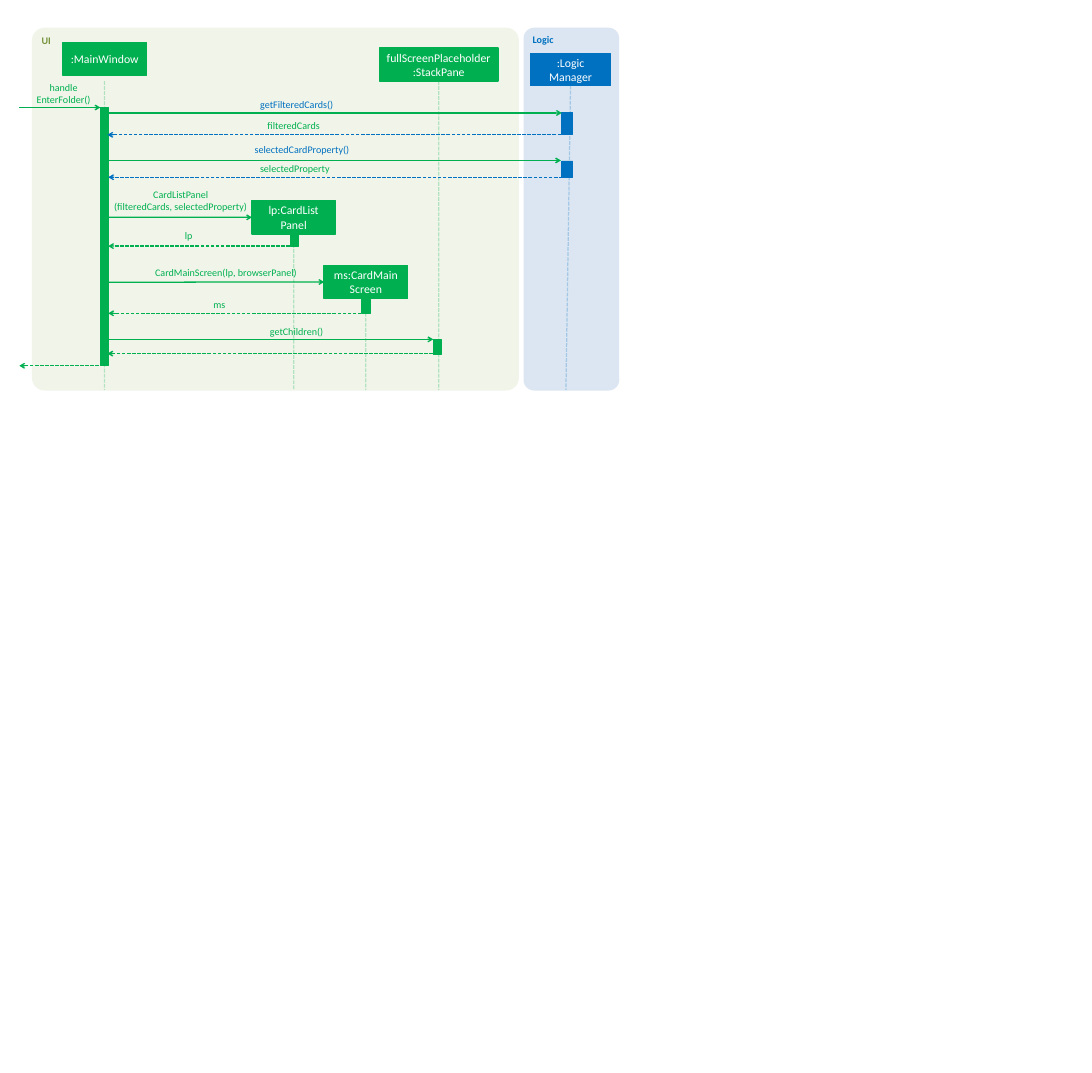
from lxml import etree
from pptx import Presentation
from pptx.dml.color import RGBColor
from pptx.enum import dml, shapes, text
from pptx.oxml import ns
from pptx.util import Pt

GREEN = RGBColor(0x00, 0xB0, 0x50)
BLUE = RGBColor(0x00, 0x70, 0xC0)
OLIVE = RGBColor(0x77, 0x93, 0x3C)
PALE = RGBColor(0xF1, 0xF5, 0xE9)
SKY = RGBColor(0xDC, 0xE6, 0xF2)
WHITE = RGBColor(0xFF, 0xFF, 0xFF)

MID = text.PP_ALIGN.CENTER
BAR = 0.75
LIST, MAIN = "lp:CardList Panel", "ms:CardMain Screen"

CALLS = [
    (0, 96.5, 95, GREEN, False, None),
    (101, 646, 101.5, GREEN, False, None),
    (657.5, 105, 127.5, BLUE, True, None),
    (106.5, 645, 158, GREEN, False, None),
    (653, 106, 178, BLUE, True, None),
    (106.5, 277.5, 225.8, GREEN, False, LIST),
    (322.5, 106, 260, GREEN, True, None),
    (105, 363, 303, GREEN, False, MAIN),
    (407.5, 106, 340, GREEN, True, None),
    (100, 493, 371, GREEN, False, None),
    (493, 105, 388, GREEN, True, None),
    (95, 0, 402.5, GREEN, True, None),
]
LABELS = [
    ("handle\nEnterFolder()", 3, 63.5, 99.5, GREEN),
    ("getFilteredCards()", 284.5, 84.5, 89.5, BLUE),
    ("filteredCards", 280, 109.5, 93.5, GREEN),
    ("selectedCardProperty()", 272, 137.5, 121, BLUE),
    ("selectedProperty", 281.5, 160.5, 93.5, GREEN),
    ("CardListPanel\n(filteredCards, selectedProperty)", 75.5, 191.5, 233.5, GREEN),
    ("lp", 155, 240, 93.5, GREEN),
    ("CardMainScreen(lp, browserPanel)", 129.5, 284.5, 233.5, GREEN),
    ("ms", 191.5, 322, 93.5, GREEN),
    ("getChildren()", 283.5, 354.5, 93.5, GREEN),
]


def write(frame, words, size, color, align, bold=None):
    """Fill a text frame and format all its runs."""
    frame.word_wrap = True
    frame.text = words
    for para in frame.paragraphs:
        para.alignment = align
        for run in para.runs:
            run.font.name = "Calibri"
            run.font.size = Pt(size)
            run.font.bold = bold
            run.font.color.rgb = color


def block(slide, box, color, width):
    """Draw a filled rectangle with a line of its own colour."""
    rect = slide.shapes.add_shape(shapes.MSO_SHAPE.RECTANGLE, *map(Pt, box))
    rect.shadow.inherit = False
    rect.fill.solid()
    rect.fill.fore_color.rgb = color
    rect.line.color.rgb = color
    rect.line.width = Pt(width)
    return rect


def head(slide, box, words, color):
    """Draw the named box at the top of a lifeline."""
    rect = block(slide, box, color, 1.5)
    rect.text_frame.vertical_anchor = text.MSO_ANCHOR.MIDDLE
    write(rect.text_frame, words, 14, WHITE, MID)
    return rect


def panel(slide, box, words, fill, color, round_):
    """Draw a rounded region with its title at the top left."""
    area = slide.shapes.add_shape(shapes.MSO_SHAPE.ROUNDED_RECTANGLE, *map(Pt, box))
    area.adjustments[0] = round_
    area.shadow.inherit = False
    area.fill.solid()
    area.fill.fore_color.rgb = fill
    area.line.fill.background()
    area.text_frame.vertical_anchor = text.MSO_ANCHOR.TOP
    write(area.text_frame, words, 12, color, text.PP_ALIGN.LEFT, True)


def line(slide, start, end, color, dash):
    """Draw a straight line without a shadow."""
    link = slide.shapes.add_connector(
        shapes.MSO_CONNECTOR.STRAIGHT, *map(Pt, start + end))
    link.line.color.rgb = color
    link.line.width = Pt(1.5)
    if dash:
        link.line.dash_style = dml.MSO_LINE.SQUARE_DOT
    etree.SubElement(link._element.spPr, ns.qn("a:effectLst"))
    return link


def life(slide, start, end, color, owner=None):
    """Draw a faint lifeline, joined to the bottom of its owner."""
    link = line(slide, start, end, color, True)
    tint = next(link._element.spPr.iter(ns.qn("a:srgbClr")))
    etree.SubElement(tint, ns.qn("a:alpha"), val="25000")
    if owner is not None:
        link.begin_connect(owner, 2)


def send(slide, start, end, color, dash):
    """Draw a message arrow from sender to receiver."""
    link = line(slide, start, end, color, dash)
    rule = link._element.spPr.find(ns.qn("a:ln"))
    etree.SubElement(rule, ns.qn("a:tailEnd"), type="arrow")
    return link


def ui(slide, box):
    """Draw the UI region and return its heads by name."""
    x, y, w, h = box
    end = y + h - 0.5
    panel(slide, box, "UI", PALE, OLIVE, 0.035)
    heads = {}
    for words, dx, dy, wide in [
        (":MainWindow", 37, 17.5, 99.5),
        ("fullScreenPlaceholder:StackPane", 414, 24, 141),
        (LIST, 262, 206, 99.5),
        (MAIN, 348, 283, 99.5),
    ]:
        heads[words] = head(slide, (x + dx, y + dy, wide, 39.5), words, GREEN)
    life(slide, (x + 86.5, y + 63.5), (x + 86.5, end), GREEN)
    life(slide, (x + 484.5, y + 63.5), (x + 484.5, end), GREEN,
         heads["fullScreenPlaceholder:StackPane"])
    life(slide, (x + 311.75, y + 245.5), (x + 311.75, end), GREEN, heads[LIST])
    for dx, dy, wide, high in [
        (81.5, 94.5, 9.5, 308), (307.5, 244, 10, 16), (478, 371, 9.5, 18),
    ]:
        block(slide, (x + dx, y + dy, wide, high), GREEN, BAR)
    bar = block(slide, (x + 392.5, y + 323.5, 10, 16), GREEN, BAR)
    life(slide, (x + 397.5, y + 339.5), (x + 397.5, end), GREEN, bar)
    return heads


def logic(slide, box):
    """Draw the Logic region with its single participant."""
    x, y, w, h = box
    panel(slide, box, "Logic", SKY, BLUE, 0.111)
    top = head(slide, (x + 8, y + 31, 96, 38), ":Logic Manager", BLUE)
    life(slide, (x + 56, y + 69), (x + 50.5, y + h - 0.5), BLUE, top)
    for dy, high in [(101, 26), (158.5, 19.5)]:
        block(slide, (x + 45.5, y + dy, 13, high), BLUE, BAR)


def calls(slide, box, heads):
    """Draw the messages between participants and their labels."""
    x, y, w, h = box
    for start, end, dy, color, dash, goal in CALLS:
        link = send(slide, (x + start, y + dy), (x + end, y + dy), color, dash)
        if goal:
            link.end_connect(heads[goal], 1)
    for words, dx, dy, wide, color in LABELS:
        high = 14.4 * (words.count("\n") + 1)
        note = slide.shapes.add_textbox(*map(Pt, (x + dx, y + dy, wide, high)))
        frame = note.text_frame
        frame.margin_left = frame.margin_right = 0
        frame.margin_top = frame.margin_bottom = 0
        align = text.PP_ALIGN.RIGHT if color == BLUE else MID
        write(frame, words, 12, color, align)
        frame.auto_size = text.MSO_AUTO_SIZE.SHAPE_TO_FIT_TEXT


def main():
    """Build the sequence diagram slide and save it."""
    deck = Presentation()
    deck.slide_width, deck.slide_height = Pt(1300.5), Pt(1277.5)
    slide = deck.slides.add_slide(deck.slide_layouts[6])
    heads = ui(slide, (38, 33, 580, 432))
    logic(slide, (623.5, 33, 114, 432))
    calls(slide, (23, 33, 714.5, 432), heads)
    deck.save("out.pptx")


if __name__ == "__main__":
    main()
